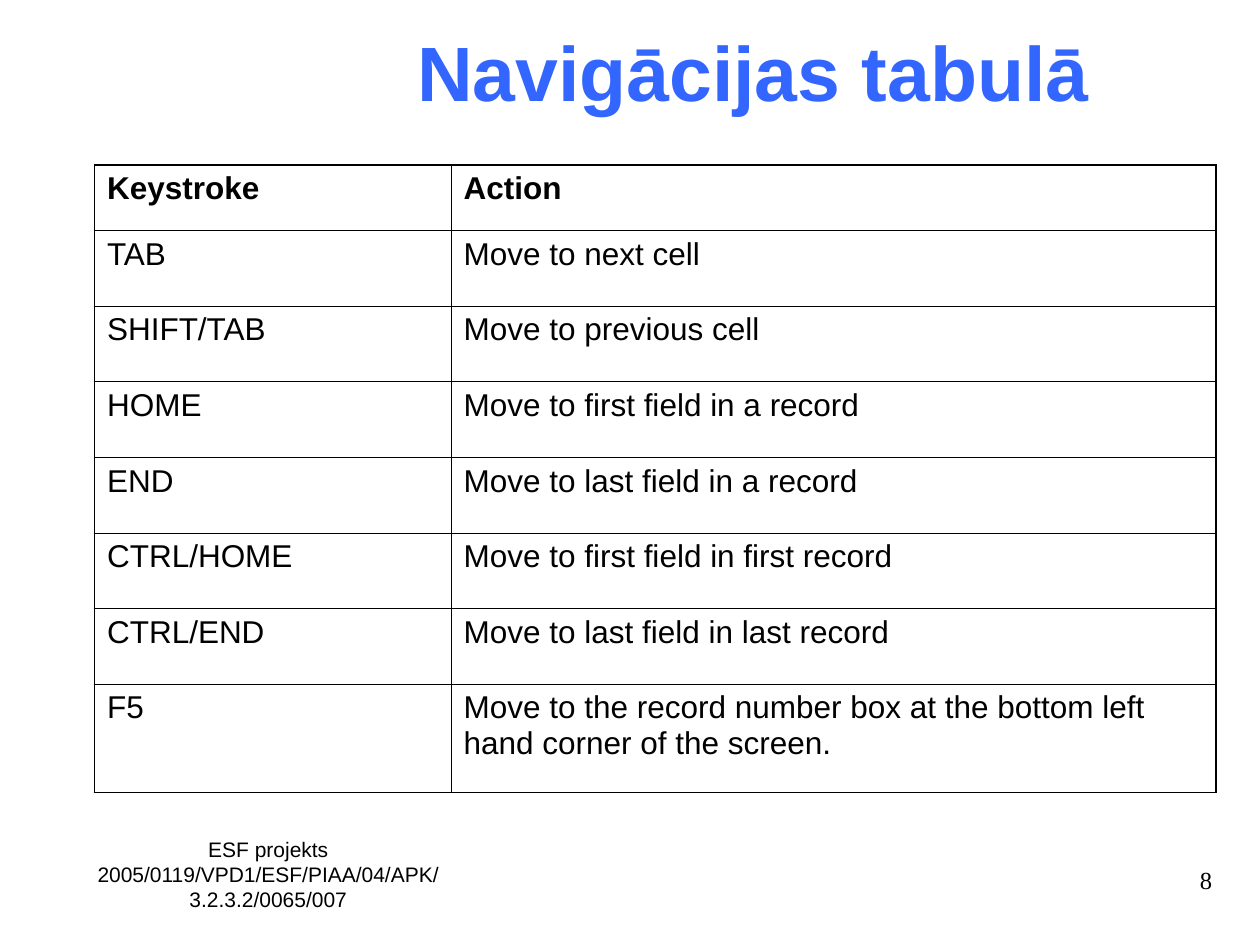
from lxml.etree import SubElement
from pptx import Presentation
from pptx.dml.color import RGBColor
from pptx.enum.text import MSO_ANCHOR, PP_ALIGN
from pptx.oxml.ns import qn
from pptx.util import Inches, Pt

BLACK = RGBColor(0x00, 0x00, 0x00)
BLUE = RGBColor(0x33, 0x66, 0xFF)
UNIT = Inches(0.1)
THIN, THICK = Pt(0.45), Pt(1.08)

TITLE = {"name": "Arial", "size": Pt(44), "bold": True}
HEADER = {"name": "Arial", "size": Pt(18), "bold": True}
BODY = {"name": "Arial", "size": Pt(18), "bold": False}
FOOTER = {"name": "Arial", "size": Pt(12)}
NUMBER = {"name": "Times New Roman", "size": Pt(14)}

COLUMNS = (28.3, 60.7)
ROWS = (5.2, *[6] * 6, 8.6)
KEYS = (
    ("Keystroke", "Action"),
    ("TAB", "Move to next cell"),
    ("SHIFT/TAB", "Move to previous cell"),
    ("HOME", "Move to first field in a record"),
    ("END", "Move to last field in a record"),
    ("CTRL/HOME", "Move to first field in first record"),
    ("CTRL/END", "Move to last field in last record"),
    ("F5", "Move to the record number box at the bottom left hand corner of the screen."),
)


def grid(*cells):
    """Turn counts of grid columns or rows into slide lengths."""
    return [round(c * UNIT) for c in cells]


def write(p, text, style, color=BLACK):
    """Add one formatted run to a paragraph."""
    r = p.add_run()
    r.text = text
    r.font.color.rgb = color
    for name, value in style.items():
        setattr(r.font, name, value)


def add_text(s, box, lines, style, align, color=BLACK, anchor=MSO_ANCHOR.TOP):
    """Add a wrapping text box with one paragraph per line."""
    tf = s.shapes.add_textbox(*grid(*box)).text_frame
    tf.word_wrap = True
    tf.vertical_anchor = anchor
    for i, line in enumerate(lines):
        p = tf.add_paragraph() if i else tf.paragraphs[0]
        p.alignment = align
        write(p, line, style, color)


def set_borders(cell, widths):
    """Draw the left, right, top and bottom borders of a cell."""
    tc_pr = cell._tc.get_or_add_tcPr()
    for i, (side, width) in enumerate(zip("LRTB", widths)):
        ln = SubElement(tc_pr, qn(f"a:ln{side}"), w=str(width))
        fill = SubElement(ln, qn("a:solidFill"))
        SubElement(fill, qn("a:srgbClr"), val=str(BLACK))
        tc_pr.insert(i, ln)


def add_key_table(s, left, top):
    """Add the table of keystrokes with a thick outer frame."""
    box = grid(left, top, sum(COLUMNS), sum(ROWS))
    table = s.shapes.add_table(len(ROWS), len(COLUMNS), *box).table
    table.horz_banding = False
    for column, width in zip(table.columns, grid(*COLUMNS)):
        column.width = width
    for row, height in zip(table.rows, grid(*ROWS)):
        row.height = height
    last_row, last_col = len(ROWS) - 1, len(COLUMNS) - 1
    for i, texts in enumerate(KEYS):
        for j, text in enumerate(texts):
            cell = table.cell(i, j)
            cell.fill.background()
            p = cell.text_frame.paragraphs[0]
            p.space_before = Pt(4.5)
            write(p, text, BODY if i else HEADER)
            outer = (j == 0, j == last_col, i == 0, i == last_row)
            set_borders(cell, [THICK if edge else THIN for edge in outer])


def main():
    """Build the slide and save it."""
    prs = Presentation()
    prs.slide_width, prs.slide_height = grid(100, 75)
    s = prs.slides.add_slide(prs.slide_layouts[6])
    add_text(s, (3.5, 65.9, 35.6, 7.1),
             ["ESF projekts", "2005/0119/VPD1/ESF/PIAA/04/APK/3.2.3.2/0065/007"],
             FOOTER, PP_ALIGN.CENTER)
    add_text(s, (23.2, 2.1, 73.2, 7.1), ["Navigācijas tabulā"], TITLE,
             PP_ALIGN.CENTER, BLUE, MSO_ANCHOR.MIDDLE)
    add_key_table(s, 7.5, 13.1)
    add_text(s, (88.6, 68.2, 8.6, 5), ["8"], NUMBER, PP_ALIGN.RIGHT)
    prs.save("out.pptx")


if __name__ == "__main__":
    main()
